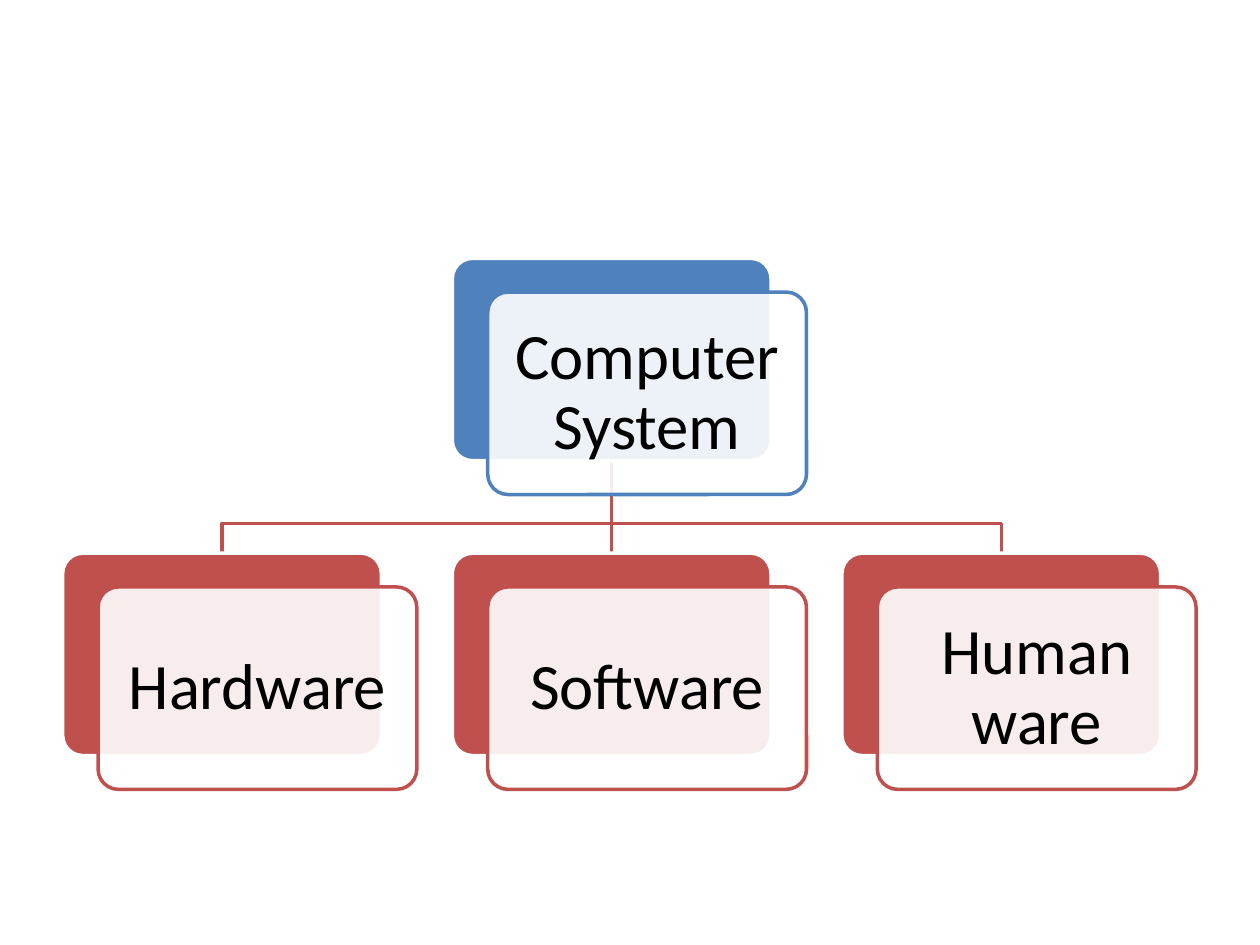
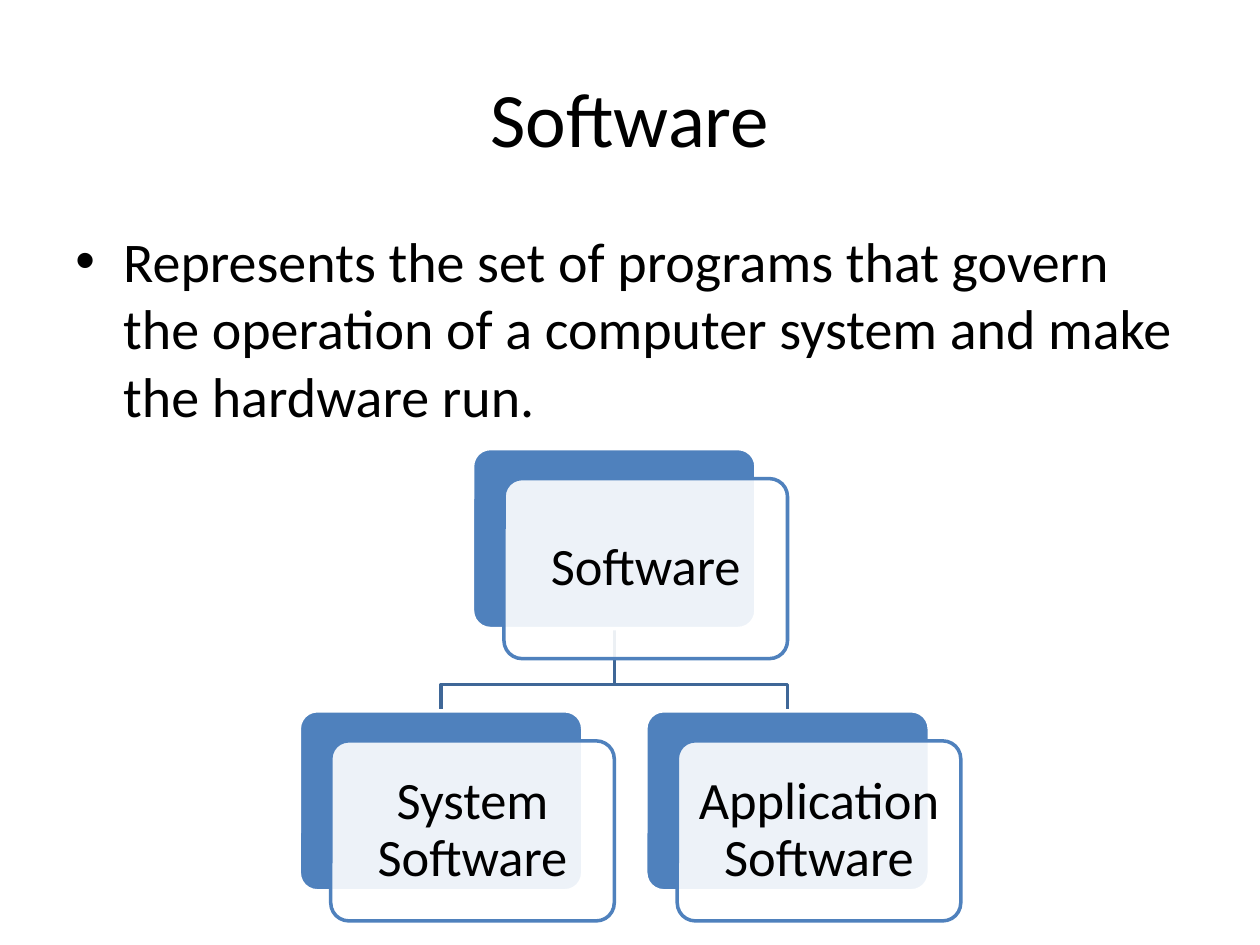
from lxml import etree
from pptx import Presentation
from pptx.dml.color import RGBColor
from pptx.enum.shapes import MSO_CONNECTOR, MSO_SHAPE
from pptx.enum.text import MSO_ANCHOR, PP_ALIGN
from pptx.oxml.ns import qn
from pptx.util import Inches, Pt

STRAIGHT = MSO_CONNECTOR.STRAIGHT
ROUNDED = MSO_SHAPE.ROUNDED_RECTANGLE
MIDDLE, TOP = MSO_ANCHOR.MIDDLE, MSO_ANCHOR.TOP
CENTER, LEFT = PP_ALIGN.CENTER, PP_ALIGN.LEFT
BOTTOM_SITE, TOP_SITE = 2, 0

COLORS = {"text": "000000", "white": "FFFFFF", "blue": "4F81BD",
          "red": "C0504D", "dark_blue": "3F6797"}
FONT = "Calibri"
CELL = Inches(0.1)
BORDER = Pt(2)

CHARTS = [
    {"left": 35.9, "top": 20.5, "width": 25.3, "size": 37, "inset": 1.5,
     "link": "red", "child": "red", "root": "Computer System",
     "children": ["Hardware", "Software", "Human ware"]},
    {"left": 37.5, "top": 35.6, "width": 22.5, "size": 30, "inset": 1.1,
     "link": "dark_blue", "child": "blue", "root": "Software",
     "children": ["System Software", "Application Software"]},
]


def color(name):
    return RGBColor.from_string(COLORS[name])


def write(box, text, size, align, anchor):
    frame = box.text_frame
    frame.text = text
    frame.word_wrap = True
    frame.vertical_anchor = anchor
    para = frame.paragraphs[0]
    para.alignment = align
    span = para.runs[0]
    span.font.name = FONT
    span.font.size = Pt(size)
    span.font.color.rgb = color("text")
    return para


deck = Presentation()
deck.slide_width, deck.slide_height = 100 * CELL, 75 * CELL
chart_page = deck.slides.add_slide(deck.slide_layouts[6])
software_page = deck.slides.add_slide(deck.slide_layouts[5])

title = software_page.shapes.title
title.left, title.top = 5 * CELL, 3 * CELL
title.width, title.height = 90 * CELL, round(12.5 * CELL)
write(title, "Software", 44, CENTER, MIDDLE)

body = software_page.shapes.add_textbox(5 * CELL, round(17.5 * CELL), 90 * CELL, 17 * CELL)
para = write(body, "Represents the set of programs that govern the operation of a "
             "computer system and make the hardware run.", 32, LEFT, TOP)
properties = para._p.get_or_add_pPr()
properties.set("marL", str(Inches(0.38)))
properties.set("indent", str(-Inches(0.38)))
etree.SubElement(properties, qn("a:buFont")).set("typeface", "Arial")
etree.SubElement(properties, qn("a:buChar")).set("char", "•")

for page, chart in zip([chart_page, software_page], CHARTS):
    width = round(chart["width"] * CELL)
    height = round(width * 0.635)
    shift_right, shift_down = width // 9, round(width * 0.106)
    pitch = width + 2 * shift_right
    root_left, root_top = round(chart["left"] * CELL), round(chart["top"] * CELL)
    root_middle, root_bottom = root_left + width // 2, root_top + height
    child_top = root_top + round(width * 0.925)
    branch = root_bottom + round((child_top - root_bottom) * 0.68)

    cards = [(chart["root"], root_left, root_top, "blue")]
    straight_links = []
    for index, label in enumerate(chart["children"]):
        offset = round((index - (len(chart["children"]) - 1) / 2) * pitch)
        cards.append((label, root_left + offset, child_top, chart["child"]))
        if offset == 0:
            link = page.shapes.add_connector(STRAIGHT, root_middle, root_bottom,
                                             root_middle, child_top)
            etree.SubElement(link._element.spPr, qn("a:effectLst"))
            straight_links.append((link, index + 1))
        else:
            outline = page.shapes.build_freeform(root_middle, root_bottom)
            outline.add_line_segments([(root_middle, branch),
                                       (root_middle + offset, branch),
                                       (root_middle + offset, child_top)], close=False)
            link = outline.convert_to_shape()
            link.shadow.inherit = False
            link.fill.background()
        link.line.color.rgb = color(chart["link"])
        link.line.width = BORDER

    backs = []
    for label, left, top, accent in cards:
        back = page.shapes.add_shape(ROUNDED, left, top, width, height)
        front = page.shapes.add_shape(ROUNDED, left + shift_right, top + shift_down,
                                      width, height)
        for card, fill, border in [(back, accent, "white"), (front, "white", accent)]:
            card.shadow.inherit = False
            card.adjustments[0] = 0.1
            card.fill.solid()
            card.fill.fore_color.rgb = color(fill)
            card.line.color.rgb = color(border)
            card.line.width = BORDER
        fill_color = front._element.spPr.find(qn("a:solidFill")).find(qn("a:srgbClr"))
        etree.SubElement(fill_color, qn("a:alpha")).set("val", "90000")
        frame = front.text_frame
        frame.margin_left = frame.margin_right = round(chart["inset"] * CELL)
        frame.margin_top = frame.margin_bottom = round(chart["inset"] * CELL)
        para = write(front, label, chart["size"], CENTER, MIDDLE)
        para.line_spacing = 0.9
        backs.append(back)

    for link, index in straight_links:
        link.begin_connect(backs[0], BOTTOM_SITE)
        link.end_connect(backs[index], TOP_SITE)

deck.save("out.pptx")
